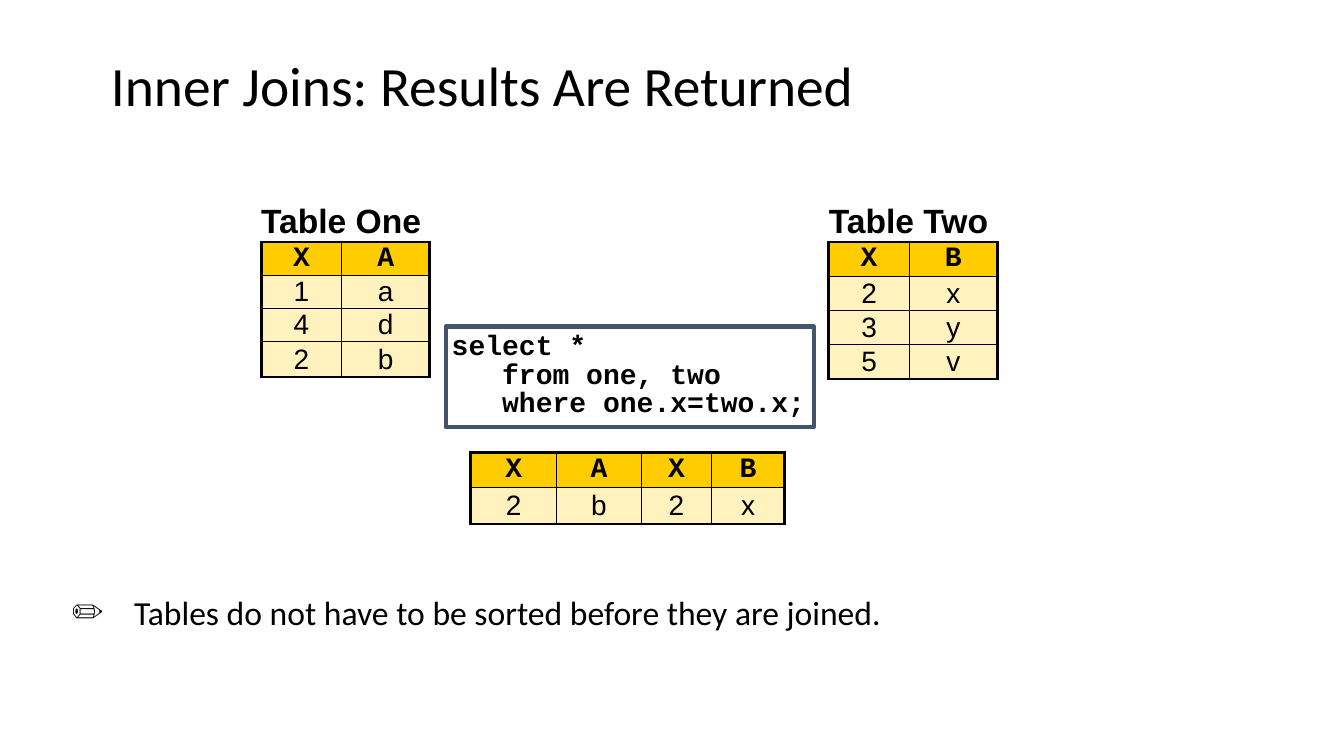
from lxml.etree import SubElement
from pptx import Presentation
from pptx.dml.color import RGBColor
from pptx.enum.shapes import MSO_SHAPE
from pptx.enum.text import MSO_ANCHOR, MSO_AUTO_SIZE, PP_ALIGN
from pptx.oxml.ns import qn
from pptx.util import Pt

PX = 9144  # 100 px to the inch
BLACK, WHITE, SLATE = "000000", "FFFFFF", "44546A"
GOLD, CREAM = "FFCC00", "FFF2BE"
PLAIN = "{2D5ABB26-0587-4C30-8999-92F81FD0307C}"  # no style, no grid
THICK, THIN = 2.25, 1

TITLE = "Inner Joins: Results Are Returned"
NOTE = "Tables do not have to be sorted before they are joined."
QUERY = ["select *", "   from one, two", "   where one.x=two.x;"]
TABLES = [
    dict(at=(467, 407), caption="", cols=[85, 84, 70, 72], rows=[42, 35, 36],
         data=["XAXB", "2b2x"]),
    dict(at=(259, 200), caption="Table One", cols=[80, 87],
         rows=[40, 33, 33, 33, 35], data=["XA", "1a", "4d", "2b"]),
    dict(at=(822, 200), caption="Table Two", cols=[80, 87],
         rows=[40, 34, 34, 34, 34], data=["XB", "2x", "3y", "5v"]),
]

HEAD = dict(name="Courier New", size=Pt(20), bold=True)
CELL = dict(name="Arial", size=Pt(20), bold=False)
LABEL = dict(name="Arial", size=Pt(24), bold=True)
TITLE_FONT = dict(name="Calibri", size=Pt(39.6), bold=False)
NOTE_FONT = dict(name="Calibri", size=Pt(24), bold=False)


def color(code):
    return RGBColor.from_string(code)


def apply(item, values):
    for key, value in values.items():
        setattr(item, key, value)


def style(para, font, align=PP_ALIGN.LEFT, leading=1.0):
    apply(para, dict(alignment=align, line_spacing=leading,
                     space_before=Pt(0)))
    apply(para.font, font)
    para.font.color.rgb = color(BLACK)


def inset(frame, across, down):
    apply(frame, dict(margin_left=across * PX, margin_right=across * PX,
                      margin_top=down * PX, margin_bottom=down * PX))


def place(shape, left, top, width, height):
    apply(shape, dict(left=left * PX, top=top * PX,
                      width=width * PX, height=height * PX))


def border(cell, widths):
    """Draw the cell's edges; widths maps L, R, T, B, in that order, to points."""
    props = cell._tc.get_or_add_tcPr()
    for side, width in widths.items():
        line = SubElement(props, qn(f"a:ln{side}"), w=str(int(Pt(width))))
        fill = SubElement(line, qn("a:solidFill"))
        SubElement(fill, qn("a:srgbClr"), val=BLACK)


def write(cell, text, font, align, across):
    inset(cell, across, 0)
    cell.vertical_anchor = MSO_ANCHOR.MIDDLE
    cell.text = text
    style(cell.text_frame.paragraphs[0], font, align)


def add_grid(slide, at, caption, cols, rows, data):
    """Add a table whose first row is one merged caption cell."""
    left, top = at
    frame = slide.shapes.add_table(
        len(rows), len(cols), left * PX, top * PX,
        sum(cols) * PX, sum(rows) * PX)
    table = frame.table
    apply(table, dict(first_row=False, horz_banding=False))
    table._tbl.tblPr.find(qn("a:tableStyleId")).text = PLAIN
    for col, width in zip(table.columns, cols):
        col.width = width * PX
    for row, height in zip(table.rows, rows):
        row.height = height * PX

    title = table.cell(0, 0)
    title.merge(table.cell(0, len(cols) - 1))
    write(title, caption, LABEL, PP_ALIGN.LEFT, 0)
    border(title, dict(B=THICK))
    title.fill.background()

    for r, line in enumerate(data, 1):
        for c, text in enumerate(line):
            cell = table.cell(r, c)
            write(cell, text, HEAD if r == 1 else CELL, PP_ALIGN.CENTER, 10)
            edges = dict(L=c == 0, R=c == len(cols) - 1,
                         T=r == 1, B=r == len(data))
            border(cell, {side: THICK if outer else THIN
                          for side, outer in edges.items()})
            cell.fill.solid()
            cell.fill.fore_color.rgb = color(GOLD if r == 1 else CREAM)


def add_query(slide):
    box = slide.shapes.add_shape(MSO_SHAPE.RECTANGLE, 0, 0, PX, PX)
    place(box, 442, 324, 365, 100)
    box.shadow.inherit = False
    box.fill.solid()
    box.fill.fore_color.rgb = color(WHITE)
    box.line.color.rgb = color(SLATE)
    box.line.width = Pt(3)
    frame = box.text_frame
    inset(frame, 6, 6)
    apply(frame, dict(word_wrap=False, vertical_anchor=MSO_ANCHOR.TOP,
                      auto_size=MSO_AUTO_SIZE.SHAPE_TO_FIT_TEXT))
    frame.text = "\n".join(QUERY)
    for para in frame.paragraphs:
        style(para, HEAD, leading=0.85)


def add_note(body):
    place(body, 71, 587, 1029, 63)
    frame = body.text_frame
    inset(frame, 0, 0)
    apply(frame, dict(text=NOTE, vertical_anchor=MSO_ANCHOR.TOP,
                      auto_size=MSO_AUTO_SIZE.NONE))
    para = frame.paragraphs[0]
    props = para._p.get_or_add_pPr()
    props.set("marL", str(62 * PX))
    props.set("indent", str(-62 * PX))
    SubElement(props, qn("a:buFont"), typeface="Arial")
    SubElement(props, qn("a:buChar"), char="✏")
    style(para, NOTE_FONT)


def main():
    deck = Presentation()
    apply(deck, dict(slide_width=1333 * PX, slide_height=750 * PX))
    slide = deck.slides.add_slide(deck.slide_layouts[1])
    title, body = slide.placeholders
    place(title, 100, 50, 1233, 75)
    apply(title.text_frame, dict(text=TITLE, auto_size=MSO_AUTO_SIZE.NONE,
                                 vertical_anchor=MSO_ANCHOR.MIDDLE))
    style(title.text_frame.paragraphs[0], TITLE_FONT, leading=0.9)
    for grid in TABLES:
        add_grid(slide, **grid)
    add_query(slide)
    add_note(body)
    deck.save("out.pptx")


if __name__ == "__main__":
    main()
